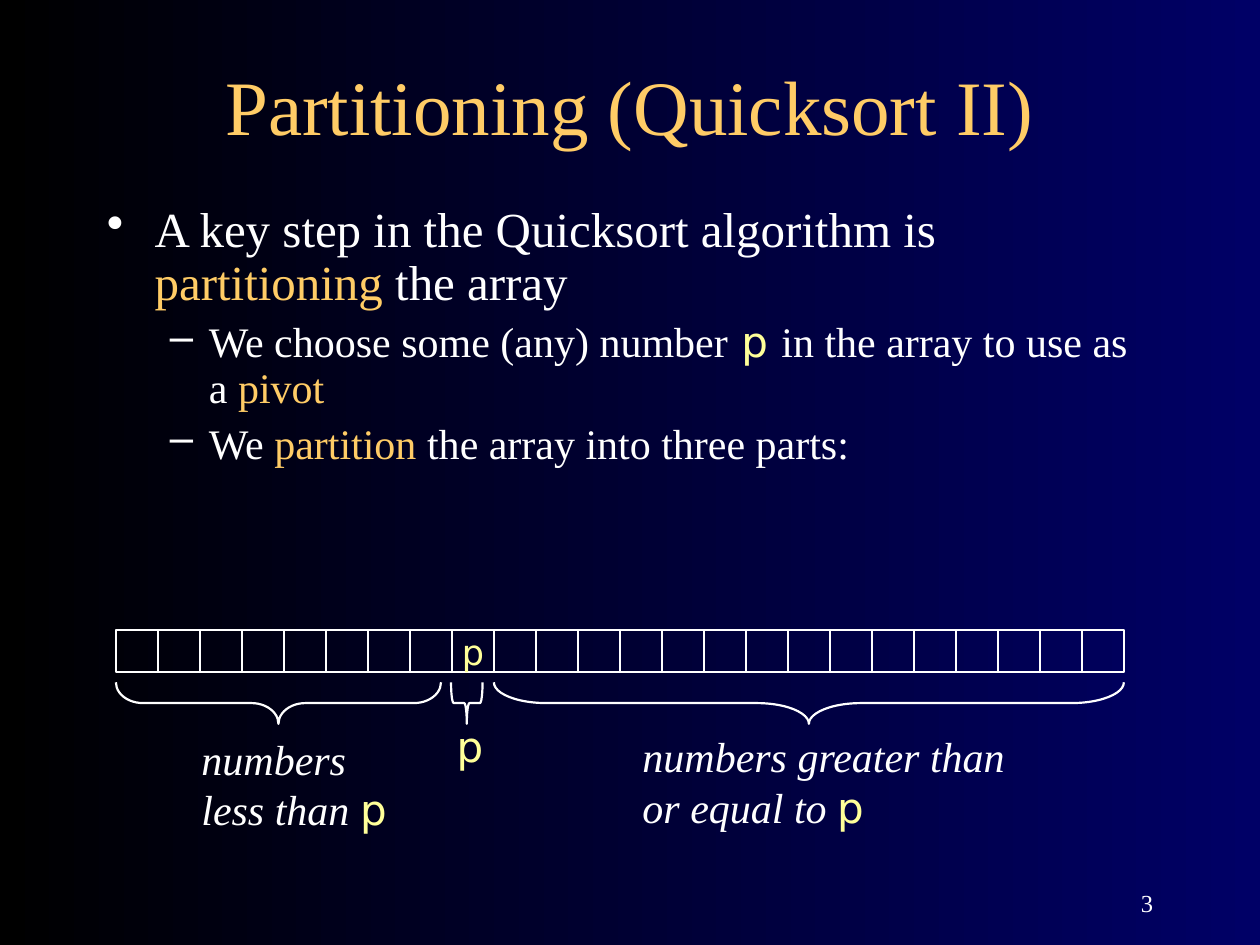
from lxml.etree import SubElement
from pptx import Presentation
from pptx.dml.color import RGBColor
from pptx.enum.shapes import MSO_SHAPE as Shape
from pptx.enum.text import MSO_ANCHOR as Anchor, MSO_AUTO_SIZE as AutoSize, PP_ALIGN as Align
from pptx.oxml.ns import qn
from pptx.util import Inches, Pt

WHITE, GOLD, YELLOW = "FFFFFF", "FFCC66", "FFFF99"
SERIF, SANS = "Times New Roman", "DejaVu Sans"


def rgb(value):
    return RGBColor.from_string(value)


def write(paragraph, size, runs, italic=False):
    for words, color in runs:
        run = paragraph.add_run()
        run.text = words
        run.font.size = Pt(size)
        run.font.name = SANS if color == YELLOW else SERIF
        run.font.italic = italic and color != YELLOW
        run.font.color.rgb = rgb(color)


presentation = Presentation()
presentation.slide_width = Inches(10)
presentation.slide_height = Inches(7.5)
slide = presentation.slides.add_slide(presentation.slide_layouts[6])
shapes = slide.shapes

background = slide.background.fill
background.gradient()
background.gradient_angle = 180
for stop, color in zip(background.gradient_stops, ("000066", "000000")):
    stop.color.rgb = rgb(color)

title = shapes.add_textbox(Inches(0.75), Inches(0.42), Inches(8.5), Inches(0.83)).text_frame
title.word_wrap = True
title.vertical_anchor = Anchor.MIDDLE
title.paragraphs[0].alignment = Align.CENTER
write(title.paragraphs[0], 44, [("Partitioning (Quicksort II)", GOLD)])

body = shapes.add_textbox(Inches(0.75), Inches(1.58), Inches(8.5), Inches(2.79)).text_frame
body.word_wrap = True
points = [
    (0, [("A key step in the Quicksort algorithm is ", WHITE), ("partitioning", GOLD),
         (" the array", WHITE)]),
    (1, [("We choose some (any) number", WHITE), (" p ", YELLOW),
         ("in the array to use as a ", WHITE), ("pivot", GOLD)]),
    (1, [("We ", WHITE), ("partition", GOLD), (" the array into three parts:", WHITE)]),
]
levels = [("•", 28, 7, 0.38, -0.38), ("–", 24, 6, 0.81, -0.31)]
for index, (level, runs) in enumerate(points):
    bullet, size, before, margin, indent = levels[level]
    point = body.add_paragraph() if index else body.paragraphs[0]
    point.level = level
    point.line_spacing = 0.9
    point.space_before = Pt(before)
    properties = point._p.get_or_add_pPr()
    properties.set("marL", str(Inches(margin)))
    properties.set("indent", str(Inches(indent)))
    bullet_color = SubElement(properties, qn("a:buClr"))
    SubElement(bullet_color, qn("a:srgbClr"), val=WHITE)
    SubElement(properties, qn("a:buChar"), char=bullet)
    write(point, size, runs)

cell_size = 1 / 3
array_left = 0.92
pivot_index = 8
for index in range(24):
    cell = shapes.add_shape(Shape.RECTANGLE, Inches(array_left + index * cell_size), Inches(5),
                            Inches(cell_size), Inches(cell_size))
    cell.shadow.inherit = False
    cell.fill.background()
    cell.line.color.rgb = rgb(WHITE)
    cell.line.width = Pt(1.25)
    if index == pivot_index:
        cell.text_frame.word_wrap = False
        cell.text_frame.vertical_anchor = Anchor.MIDDLE
        cell.text_frame.paragraphs[0].alignment = Align.CENTER
        write(cell.text_frame.paragraphs[0], 20, [("p", YELLOW)])

depth = 0.33
parts = [
    (0.92, 2.58, (1.5, 5.77, 1.92, 0.9), [("numbers less than ", WHITE), ("p", YELLOW)]),
    (3.92, 5, (5, 5.75, 3.08, 0.9), [("numbers greater than or equal to ", WHITE), ("p", YELLOW)]),
    (3.58, 0.25, (3.42, 5.67, 0.58, 0.5), [(" p", YELLOW)]),
]
for left, length, label_box, runs in parts:
    brace = shapes.add_shape(Shape.LEFT_BRACE, Inches(left + length / 2 - depth / 2),
                             Inches(5.58 - length / 2), Inches(depth), Inches(length))
    brace.rotation = 270
    brace.adjustments[0] = length / min(length, depth) / 12
    brace.shadow.inherit = False
    brace.fill.background()
    brace.line.color.rgb = rgb(WHITE)
    brace.line.width = Pt(1.25)

    label = shapes.add_textbox(*[Inches(value) for value in label_box]).text_frame
    label.word_wrap = True
    label.auto_size = AutoSize.SHAPE_TO_FIT_TEXT
    label.paragraphs[0].space_before = Pt(15)
    write(label.paragraphs[0], 24, runs, italic=True)

page_number = shapes.add_textbox(Inches(7.17), Inches(6.83), Inches(2.08), Inches(0.5)).text_frame
page_number.word_wrap = True
page_number.vertical_anchor = Anchor.BOTTOM
page_number.paragraphs[0].alignment = Align.RIGHT
write(page_number.paragraphs[0], 14, [("3", WHITE)])

presentation.save("out.pptx")
